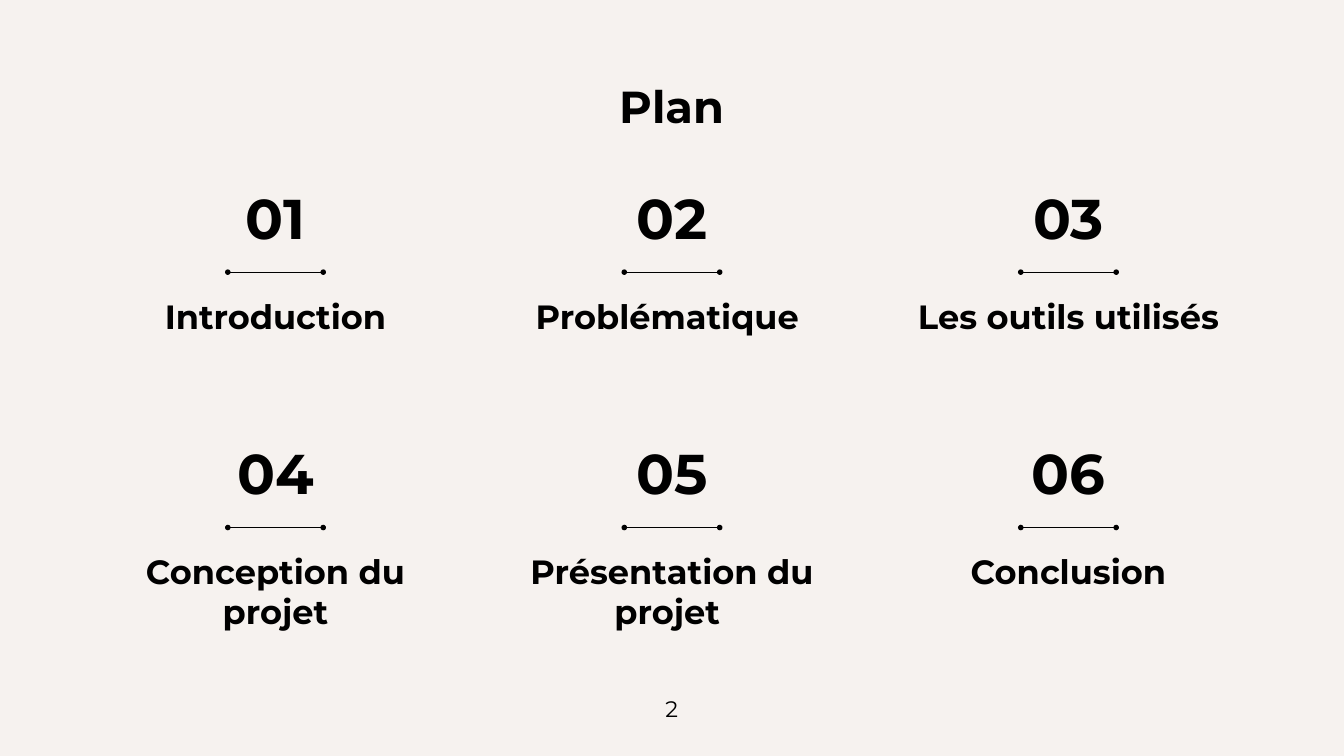
from lxml import etree
from pptx import Presentation
from pptx.dml.color import RGBColor
from pptx.enum.shapes import MSO_CONNECTOR
from pptx.enum.text import MSO_ANCHOR, MSO_AUTO_SIZE, PP_ALIGN
from pptx.oxml.ns import qn
from pptx.util import Inches, Pt

STRAIGHT = MSO_CONNECTOR.STRAIGHT
TOP, MIDDLE = MSO_ANCHOR.TOP, MSO_ANCHOR.MIDDLE
CENTER = PP_ALIGN.CENTER
NO_FIT = MSO_AUTO_SIZE.NONE
FONT = "Montserrat"
INK, PAPER = "000000", "F6F2EF"
TOPICS = [
    "Introduction", "Problématique ", "Les outils utilisés",
    "Conception du projet", "Présentation du projet ", "Conclusion",
]
COLS = 3
LEFT, TOP_ROW = 1.58, 2.74
STEP_X, STEP_Y = 5.9, 3.8
WIDTH = 5.04


def color(code):
    """Return the colour for a hex string."""
    return RGBColor.from_string(code)


def write(shape, text, size, bold=True, anchor=TOP, inset=0.2):
    """Fill a shape with one centred line of styled text."""
    frame = shape.text_frame
    frame.word_wrap = True
    frame.auto_size = NO_FIT
    frame.vertical_anchor = anchor
    frame.margin_left = frame.margin_right = Inches(inset)
    frame.margin_top = frame.margin_bottom = Inches(inset)
    frame.text = text
    para = frame.paragraphs[0]
    para.alignment = CENTER
    para.space_before = Pt(0)
    para.line_spacing = 1.0
    font = para.font
    font.name, font.size, font.bold = FONT, Pt(size), bold
    font.color.rgb = color(INK)


def add_text(slide, box, text, size, **style):
    """Add a text box at left, top, width and height in inches."""
    shape = slide.shapes.add_textbox(*map(Inches, box))
    write(shape, text, size, **style)


def add_rule(slide, left, top, width):
    """Draw a thin level line with a dot at each end."""
    rule = slide.shapes.add_connector(
        STRAIGHT, Inches(left), Inches(top), Inches(left + width), Inches(top))
    rule.line.color.rgb = color(INK)
    rule.line.width = Pt(0.75)
    props = rule.element.spPr
    line = props.find(qn("a:ln"))
    for end in ("a:headEnd", "a:tailEnd"):
        etree.SubElement(line, qn(end), type="oval")
    etree.SubElement(props, qn("a:effectLst"))


def add_title(slide, box, text):
    """Place and style the title placeholder."""
    title = slide.shapes.title
    title.left, title.top, title.width, title.height = map(Inches, box)
    write(title, text, 48)


def add_topic(slide, left, top, width, num, text):
    """Stack a number, a rule and a label, centred in the given width."""
    mid = left + width / 2
    add_text(slide, (mid - 0.91, top, 1.82, 0.98), f"{num:02}", 60, anchor=MIDDLE)
    add_rule(slide, mid - 0.71, top + 1.31, 1.42)
    add_text(slide, (left, top + 1.46, width, 1.74), text, 36)


def add_plan(slide):
    """Lay out the whole plan slide."""
    fill = slide.background.fill
    fill.solid()
    fill.fore_color.rgb = color(PAPER)
    add_title(slide, (1.57, 0.97, 16.85, 1.25), "Plan")
    for i, text in enumerate(TOPICS):
        row, col = divmod(i, COLS)
        add_topic(slide, LEFT + col * STEP_X, TOP_ROW + row * STEP_Y,
                  WIDTH, i + 1, text)
    add_text(slide, (8.83, 10.28, 2.33, 0.54), "2", 24,
             bold=False, anchor=MIDDLE, inset=0.05)


def main():
    """Build and save the deck."""
    deck = Presentation()
    deck.slide_width, deck.slide_height = Inches(20), Inches(11.25)
    add_plan(deck.slides.add_slide(deck.slide_layouts[5]))
    deck.save("out.pptx")


if __name__ == "__main__":
    main()
